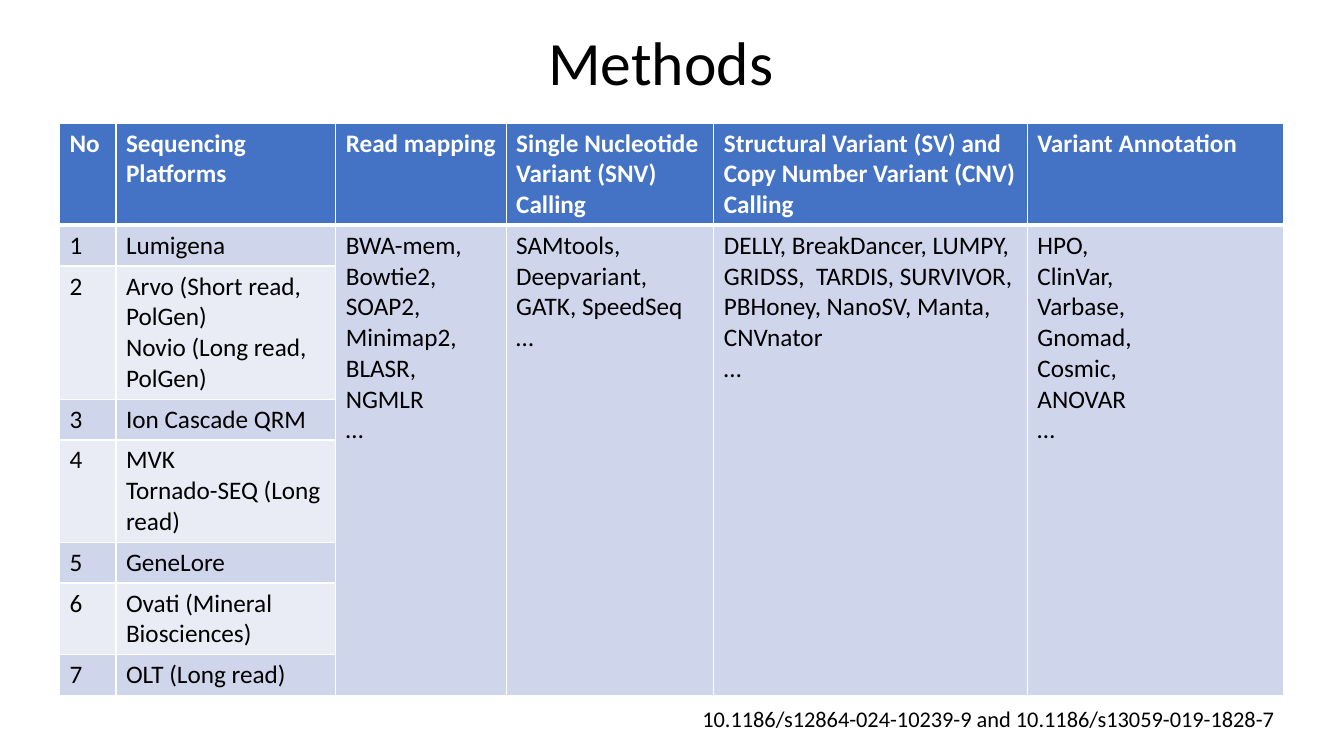
from lxml import etree
from pptx import Presentation
from pptx.dml.color import RGBColor
from pptx.enum.text import MSO_ANCHOR, PP_ALIGN
from pptx.oxml.ns import qn
from pptx.util import Inches, Pt

LEFT, MID, RIGHT = PP_ALIGN.LEFT, PP_ALIGN.CENTER, PP_ALIGN.RIGHT
TOP, CENTRE = MSO_ANCHOR.TOP, MSO_ANCHOR.MIDDLE

BLACK = RGBColor(0x00, 0x00, 0x00)
WHITE = RGBColor(0xFF, 0xFF, 0xFF)
BLUE = RGBColor(0x44, 0x72, 0xC4)
BANDS = RGBColor(0xCF, 0xD5, 0xEA), RGBColor(0xE9, 0xEB, 0xF5)

WIDTHS = [0.56, 2.18, 1.69, 2.06, 3.11, 2.54]
LINES = [3, 1, 4, 1, 3, 1, 2, 1]
HEADS = [
    "No",
    "Sequencing Platforms",
    "Read mapping",
    "Single Nucleotide\nVariant (SNV)\nCalling",
    "Structural Variant (SV) and Copy Number Variant (CNV) Calling",
    "Variant Annotation",
]
PLATFORMS = [
    "Lumigena",
    "Arvo (Short read, PolGen)\nNovio (Long read, PolGen)",
    "Ion Cascade QRM",
    "MVK \vTornado-SEQ (Long read)",
    "GeneLore",
    "Ovati (Mineral Biosciences)",
    "OLT (Long read)",
]
TOOLS = [
    "BWA-mem,\nBowtie2,\nSOAP2,\nMinimap2,\nBLASR,\nNGMLR\n…",
    "SAMtools,\nDeepvariant,\nGATK, SpeedSeq\n…",
    "DELLY, BreakDancer, LUMPY, GRIDSS,  TARDIS, SURVIVOR, "
    "PBHoney, NanoSV, Manta, CNVnator\n…",
    "HPO,\nClinVar,\nVarbase,\nGnomad,\nCosmic,\nANOVAR\n…",
]


class Page:
    def __init__(self, slide, font="Calibri"):
        self.slide = slide
        self.font = font

    def style(self, frame, size, color=BLACK, bold=False, align=LEFT):
        for para in frame.paragraphs:
            para.alignment = align
            for run in para.runs:
                run.font.name = self.font
                run.font.size = Pt(size)
                run.font.bold = bold
                run.font.color.rgb = color

    def text(self, words, box, size, align, anchor=TOP, space=1.0):
        frame = self.slide.shapes.add_textbox(*map(Inches, box)).text_frame
        frame.word_wrap = True
        frame.vertical_anchor = anchor
        frame.text = words
        frame.paragraphs[0].line_spacing = space
        self.style(frame, size, align=align)

    def edges(self, cell, top, base):
        props = cell._tc.get_or_add_tcPr()
        for side, width in zip("LRTB", (1, 1, top, base)):
            line = etree.SubElement(props, qn(f"a:ln{side}"), w=str(Pt(width)))
            fill = etree.SubElement(line, qn("a:solidFill"))
            etree.SubElement(fill, qn("a:srgbClr"), val=str(WHITE))

    def cell(self, cell, words, row):
        head = row == 0
        self.edges(cell, 3 if row == 1 else 1, 3 if head else 1)
        cell.fill.solid()
        cell.fill.fore_color.rgb = BLUE if head else BANDS[(row - 1) % 2]
        cell.text_frame.text = words
        self.style(cell.text_frame, 18, WHITE if head else BLACK, head)

    def table(self, rows, left, top, widths, heights):
        box = map(Inches, (left, top, sum(widths), sum(heights)))
        grid = self.slide.shapes.add_table(len(rows), len(widths), *box).table
        for col, width in zip(grid.columns, widths):
            col.width = Inches(width)
        for line, height in zip(grid.rows, heights):
            line.height = Inches(height)
        for r, row in enumerate(rows):
            for c, words in enumerate(row):
                self.cell(grid.cell(r, c), words, r)
        return grid


def main():
    deck = Presentation()
    deck.slide_width, deck.slide_height = Inches(13.33), Inches(7.5)
    page = Page(deck.slides.add_slide(deck.slide_layouts[6]))

    page.text("Methods", (0.7, 0.27, 11.71, 0.76), 44, MID, CENTRE, 0.9)

    rows = [HEADS]
    for num, name in enumerate(PLATFORMS, 1):
        rows.append([str(num), name] + (TOOLS if num == 1 else [""] * len(TOOLS)))
    heights = [0.1 + 0.305 * n for n in LINES]
    grid = page.table(rows, 0.59, 1.22, WIDTHS, heights)
    for col in range(2, len(WIDTHS)):
        grid.cell(1, col).merge(grid.cell(len(PLATFORMS), col))

    page.text("10.1186/s12864-024-10239-9 and 10.1186/s13059-019-1828-7",
              (6.07, 6.95, 6.67, 0.37), 16, RIGHT)
    deck.save("out.pptx")


if __name__ == "__main__":
    main()
